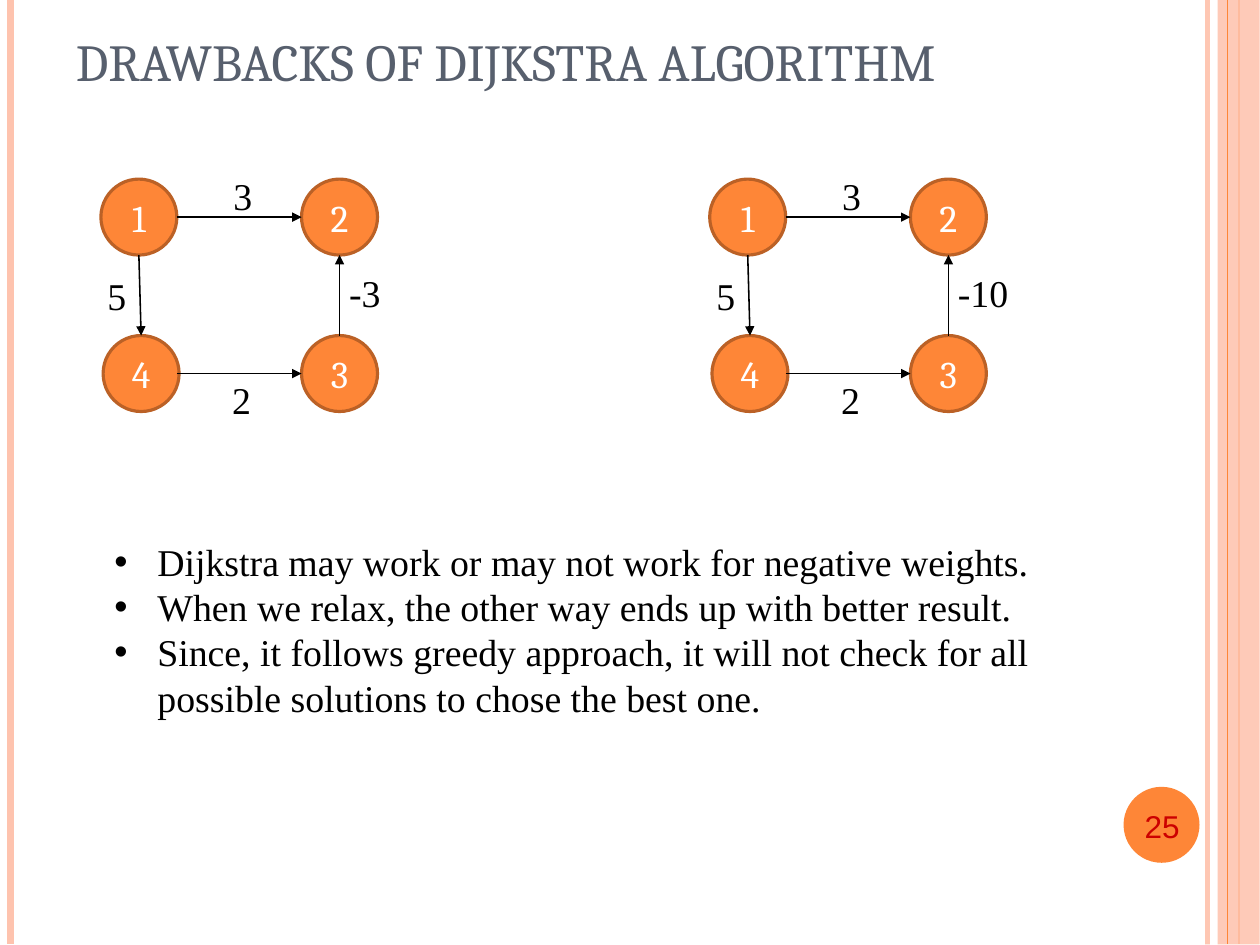
from lxml import etree
from pptx import Presentation
from pptx.dml.color import RGBColor
from pptx.enum import shapes as kinds, text as modes
from pptx.oxml import ns
from pptx.util import Inches, Pt

COLORS = {
    "orange": "FE8637", "rim": "BB6126", "peach": "FEC3AE", "slate": "575F6D",
    "red": "CC0000", "white": "FFFFFF", "black": "000000",
}
SERIF, HEADING, SANS = "Times New Roman", "Cambria", "Arial"
NODE = 0.67


def color(name):
    return RGBColor.from_string(COLORS[name])


def set_alpha(fill_parent, percent):
    swatch = next(fill_parent.iter(ns.qn("a:srgbClr")))
    etree.SubElement(swatch, ns.qn("a:alpha"), val=str(percent * 1000))


def write(box, content, font=SERIF, size=24, ink="black", align="LEFT", anchor="TOP",
          wrap=True, inset=(0.1, 0.05), bullet=None, indent=0.38):
    frame = box.text_frame
    frame.word_wrap = wrap
    frame.auto_size = modes.MSO_AUTO_SIZE.NONE
    frame.vertical_anchor = getattr(modes.MSO_ANCHOR, anchor)
    frame.margin_left = frame.margin_right = Inches(inset[0])
    frame.margin_top = frame.margin_bottom = Inches(inset[1])
    frame.text = content
    for para in frame.paragraphs:
        para.alignment = getattr(modes.PP_ALIGN, align)
        if bullet:
            props = para._p.get_or_add_pPr()
            props.set("marL", str(Inches(indent)))
            props.set("indent", str(-Inches(indent)))
            etree.SubElement(props, ns.qn("a:buFont"), typeface=SANS)
            etree.SubElement(props, ns.qn("a:buChar"), char=bullet)
        for span in para.runs:
            span.font.name = font
            span.font.size = Pt(size)
            span.font.color.rgb = color(ink)


def add_text(shapes, left, top, width, height, content, **style):
    box = shapes.add_textbox(Inches(left), Inches(top), Inches(width), Inches(height))
    write(box, content, **style)


def add_solid(shapes, kind, left, top, width, height, fill, rim=None):
    solid = shapes.add_shape(kind, Inches(left), Inches(top), Inches(width), Inches(height))
    solid.shadow.inherit = False
    solid.fill.solid()
    solid.fill.fore_color.rgb = color(fill)
    if rim:
        solid.line.color.rgb = color(rim)
        solid.line.width = Pt(2)
    else:
        solid.line.fill.background()
    return solid


def add_line(shapes, start, end, ink="black", weight=1, arrow=False):
    line = shapes.add_connector(kinds.MSO_CONNECTOR.STRAIGHT, *map(Inches, start + end))
    line.line.color.rgb = color(ink)
    line.line.width = Pt(weight)
    if arrow:
        etree.SubElement(line.line._get_or_add_ln(), ns.qn("a:tailEnd"), type="triangle")
    etree.SubElement(line._element.spPr, ns.qn("a:effectLst"))
    return line


def draw_frame(shapes, width, height):
    def rule(x, ink, weight):
        return add_line(shapes, (x, 0), (x, height), ink, weight)

    inner = rule(width - 0.46, "peach", 3)
    set_alpha(inner._element.spPr, 93)
    rule(0.09, "peach", 4.5)
    rule(width - 0.18, "orange", 1.5)
    band = add_solid(shapes, kinds.MSO_SHAPE.RECTANGLE, width - 0.37, 0, 0.37, height, "peach")
    set_alpha(band._element.spPr, 87)
    rule(width - 0.28, "orange", 0.75)


def draw_page_number(shapes, left, top, number):
    add_solid(shapes, kinds.MSO_SHAPE.OVAL, left, top, NODE, NODE, "orange")
    add_text(shapes, left - 0.03, top + 0.03, 0.74, 0.63, number, font=SANS, size=20,
             ink="red", align="CENTER", anchor="MIDDLE", inset=(0.11, 0.06))


def draw_title(title, left, top, width, height, content):
    title.left, title.top = Inches(left), Inches(top)
    title.width, title.height = Inches(width), Inches(height)
    write(title, content, font=HEADING, size=33, ink="slate", anchor="BOTTOM",
          inset=(0.11, 0.06))


def draw_graph(shapes, left, top, last_weight, last_width):
    across, down, skew, radius = 1.77, 1.38, 0.02, NODE / 2
    nodes = {"1": (0, 0), "3": (across, down), "4": (skew, down), "2": (across, 0)}
    for name, (x, y) in nodes.items():
        node = add_solid(shapes, kinds.MSO_SHAPE.OVAL, left + x, top + y, NODE, NODE,
                         "orange", "rim")
        write(node, name, font=HEADING, ink="white", align="CENTER", anchor="MIDDLE")

    edges = [
        ((NODE, radius), (across, radius)),
        ((radius, NODE), (radius + skew, down)),
        ((NODE, down + radius), (across, down + radius)),
        ((across + radius, down), (across + radius, NODE)),
    ]
    for (x1, y1), (x2, y2) in edges:
        add_line(shapes, (left + x1, top + y1), (left + x2, top + y2), arrow=True)

    weights = [
        ("2", 1.06, 1.69, 0.36), (last_weight, 2.09, 0.75, last_width),
        ("3", 1.07, -0.11, 0.36), ("5", -0.04, 0.78, 0.36),
    ]
    for weight, x, y, width in weights:
        add_text(shapes, left + x, top + y, width, 0.5, weight, wrap=False)


def main():
    deck = Presentation()
    deck.slide_width, deck.slide_height = Pt(800.13), Pt(600.13)
    page = deck.slides.add_slide(deck.slide_layouts[5])
    draw_frame(page.shapes, 11.11, 8.33)
    draw_page_number(page.shapes, 9.91, 6.94, "25")
    draw_title(page.shapes.title, 0.56, 0.19, 10, 0.68, "DRAWBACKS OF DIJKSTRA ALGORITHM")
    draw_graph(page.shapes, 0.89, 1.58, "-3", 0.48)
    draw_graph(page.shapes.add_group_shape().shapes, 6.26, 1.58, "-10", 0.64)
    points = [
        "Dijkstra may work or may not work for negative weights.",
        "When we relax, the other way ends up with better result.",
        "Since, it follows greedy approach, it will not check for all possible solutions "
        "to chose the best one.",
    ]
    add_text(page.shapes, 0.91, 4.7, 8.57, 1.7, "\n".join(points), bullet="•")
    deck.save("out.pptx")


if __name__ == "__main__":
    main()
